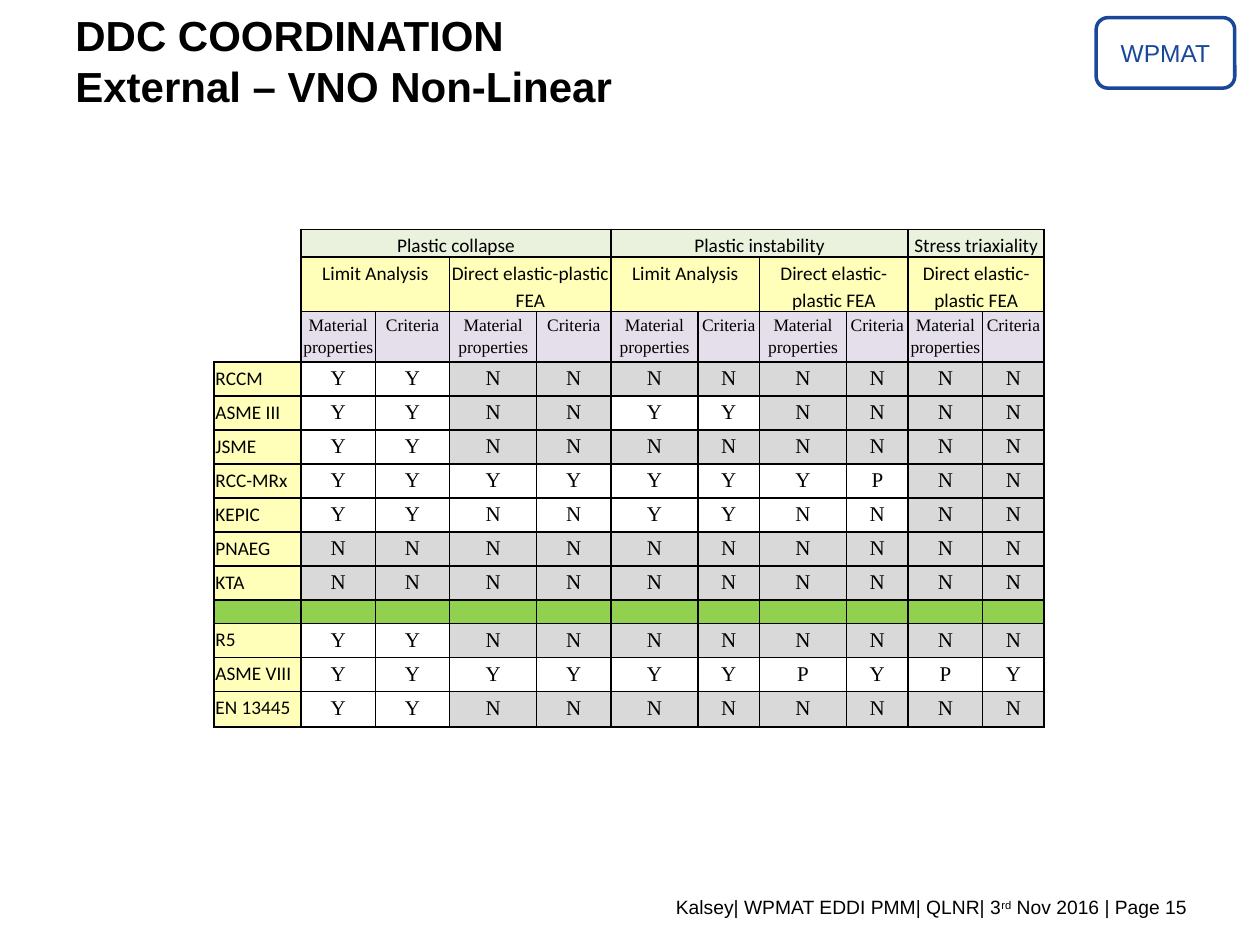
import pptx
import pptx.dml.color
import pptx.enum.shapes
import pptx.enum.text
import pptx.oxml.ns
import pptx.util
from lxml import etree

# The slide is a grid of 100 columns by 75 rows, each 0.1 inch
GRID_COLUMNS, GRID_ROWS = 100, 75
UNIT = pptx.util.Inches(0.1)
ALIGN = pptx.enum.text.PP_ALIGN
ANCHOR = pptx.enum.text.MSO_ANCHOR

COLOURS = {
    "black": "000000",
    "white": "FFFFFF",
    "badge": "184897",
    "failure": "EAF1DD",
    "method": "FFFFB9",
    "aspect": "E5DFEC",
    "no": "D9D9D9",
    "divider": "92D050",
}
NO_STYLE = "{2D5ABB26-0587-4C30-8999-92F81FD0307C}"

# Table content: column widths and row heights in grid units
WIDTHS = [6.9, 5.9, 5.9, 6.9, 5.9, 6.9, 4.9, 6.9, 4.9, 5.9, 4.9]
HEIGHTS = [2.1, 4.3, 4.0] + [2.7] * 7 + [1.9] + [2.7] * 2 + [2.8]
FAILURES = [("Plastic collapse", 4), ("Plastic instability", 4), ("Stress triaxiality", 2)]
LIMIT, DIRECT = "Limit Analysis", "Direct elastic-plastic FEA"
METHODS = [(name, 2) for name in (LIMIT, DIRECT, LIMIT, DIRECT, DIRECT)]
ASPECTS = [("Material properties", 1), ("Criteria", 1)] * 5
CODES = [
    ("RCCM", "YYNNNNNNNN"),
    ("ASME III", "YYNNYYNNNN"),
    ("JSME", "YYNNNNNNNN"),
    ("RCC-MRx", "YYYYYYYPNN"),
    ("KEPIC", "YYNNYYNNNN"),
    ("PNAEG", "NNNNNNNNNN"),
    ("KTA", "NNNNNNNNNN"),
    None,  # divider row
    ("R5", "YYNNNNNNNN"),
    ("ASME VIII", "YYYYYYPYPY"),
    ("EN 13445", "YYNNNNNNNN"),
]
# In this row only the stress triaxiality columns are shaded
LIGHT_CODE, LIGHT_COLUMNS = "KEPIC", 8


def units(count):
    return round(count * UNIT)


def colour(name):
    return pptx.dml.color.RGBColor.from_string(COLOURS[name])


def add_span(para, text, size, font="Arial", ink="black", bold=False):
    span = para.add_run()
    span.text = text
    span.font.size = pptx.util.Pt(size)
    span.font.name = font
    span.font.bold = bold
    span.font.color.rgb = colour(ink)
    return span


def add_text_box(page, left, top, width, height, wrap=True):
    box = page.shapes.add_textbox(*map(units, (left, top, width, height)))
    box.text_frame.word_wrap = wrap
    return box.text_frame.paragraphs[0]


def add_title(page, lines):
    para = add_text_box(page, 5, 0.3, 46.3, 9.1, wrap=False)
    for index, line in enumerate(lines):
        if index:
            para.add_line_break()
        add_span(para, line, 24, bold=True)


def add_badge(page, text):
    badge = page.shapes.add_shape(
        pptx.enum.shapes.MSO_SHAPE.ROUNDED_RECTANGLE, *map(units, (87, 1.4, 11, 5.6)))
    badge.shadow.inherit = False
    badge.fill.background()
    badge.line.color.rgb = colour("badge")
    badge.line.width = pptx.util.Pt(2)
    badge.text_frame.vertical_anchor = ANCHOR.MIDDLE
    para = badge.text_frame.paragraphs[0]
    para.alignment = ALIGN.CENTER
    add_span(para, text, 14, ink="badge")


def add_footer(page):
    para = add_text_box(page, 5.1, 70.6, 90.1, 2.9)
    para.alignment = ALIGN.RIGHT
    add_span(para, "Kalsey| WPMAT EDDI PMM| QLNR| 3", 11)
    ordinal = add_span(para, "rd", 11)
    ordinal.font._element.set("baseline", "30000")
    add_span(para, " Nov 2016 | Page 15", 11)


def add_borders(cell, sides):
    """Draw the given sides, in the order L, R, T, B; the others stay open."""
    properties = cell._tc.get_or_add_tcPr()
    for side in "LRTB":
        line = etree.SubElement(properties, pptx.oxml.ns.qn("a:ln" + side))
        line.set("w", str(pptx.util.Pt(1)))
        if side in sides:
            fill = etree.SubElement(line, pptx.oxml.ns.qn("a:solidFill"))
            ink = etree.SubElement(fill, pptx.oxml.ns.qn("a:srgbClr"))
            ink.set("val", COLOURS["black"])
        else:
            etree.SubElement(line, pptx.oxml.ns.qn("a:noFill"))


def fill_cell(cell, text="", fill=None, size=10, font="Calibri",
              align=ALIGN.CENTER, sides="LRTB"):
    cell.margin_left = cell.margin_top = cell.margin_right = units(0.1)
    cell.margin_bottom = 0
    add_borders(cell, sides)
    if fill:
        cell.fill.solid()
        cell.fill.fore_color.rgb = colour(fill)
    else:
        cell.fill.background()
    para = cell.text_frame.paragraphs[0]
    para.alignment = align
    para.line_spacing = 1.15
    if text:
        add_span(para, text, size, font)
    else:
        # An empty cell keeps a small line height
        end = etree.SubElement(para._p, pptx.oxml.ns.qn("a:endParaRPr"))
        end.set("sz", str(size * 100))


def fill_header(table, row, groups, fill, size, font):
    column = 1
    for text, width in groups:
        cells = [table.cell(row, column + step) for step in range(width)]
        if width > 1:
            cells[0].merge(cells[-1])
        fill_cell(cells[0], text, fill, size, font)
        for covered in cells[1:]:
            add_borders(covered, "LRTB")
        column += width


def fill_code(table, row, name, marks):
    fill_cell(table.cell(row, 0), name, "method", 11, align=ALIGN.JUSTIFY)
    for index, mark in enumerate(marks):
        light = name == LIGHT_CODE and index < LIGHT_COLUMNS
        fill = "no" if mark == "N" and not light else "white"
        fill_cell(table.cell(row, index + 1), mark, fill, 12, "Times New Roman")


def add_code_table(page):
    frame = page.shapes.add_table(
        len(HEIGHTS), len(WIDTHS),
        *map(units, (17, 18.2, sum(WIDTHS), sum(HEIGHTS))))
    table = frame.table
    table.first_row = table.horz_banding = False
    table._tbl.tblPr.find(pptx.oxml.ns.qn("a:tableStyleId")).text = NO_STYLE
    for column, width in zip(table.columns, WIDTHS):
        column.width = units(width)
    for row, height in zip(table.rows, HEIGHTS):
        row.height = units(height)

    # Open corner and three header rows
    for row, sides in enumerate(("R", "R", "RB")):
        fill_cell(table.cell(row, 0), sides=sides)
    fill_header(table, 0, FAILURES, "failure", 11, "Calibri")
    fill_header(table, 1, METHODS, "method", 11, "Calibri")
    fill_header(table, 2, ASPECTS, "aspect", 10, "Times New Roman")

    # One row per design code
    for row, code in enumerate(CODES, start=3):
        if code:
            fill_code(table, row, *code)
        else:
            for column in range(len(WIDTHS)):
                fill_cell(table.cell(row, column), fill="divider")


def main():
    deck = pptx.Presentation()
    deck.slide_width, deck.slide_height = units(GRID_COLUMNS), units(GRID_ROWS)
    page = deck.slides.add_slide(deck.slide_layouts[6])
    add_badge(page, "WPMAT")
    add_footer(page)
    add_title(page, ["DDC COORDINATION", "External – VNO Non-Linear"])
    add_code_table(page)
    deck.save("out.pptx")


if __name__ == "__main__":
    main()
